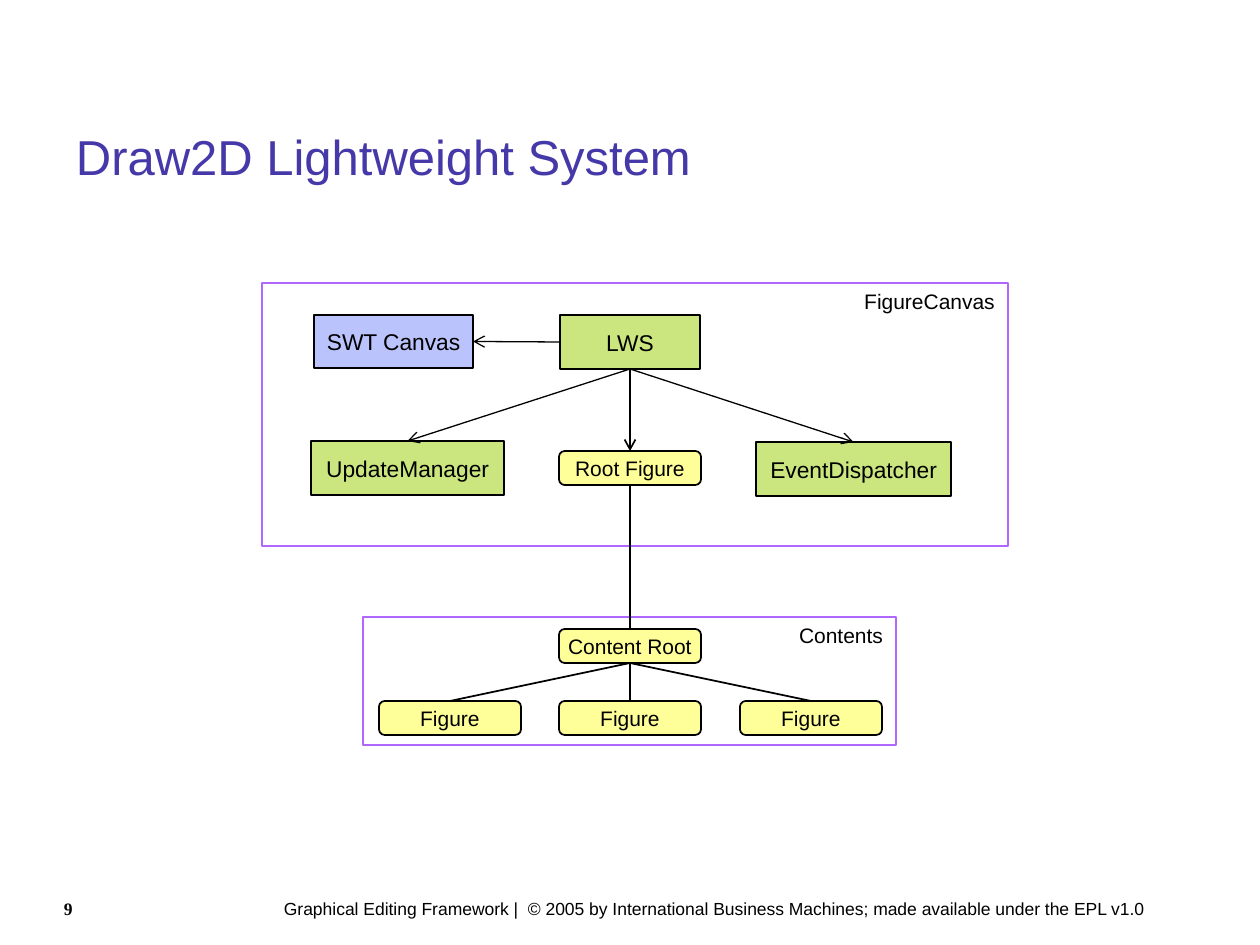
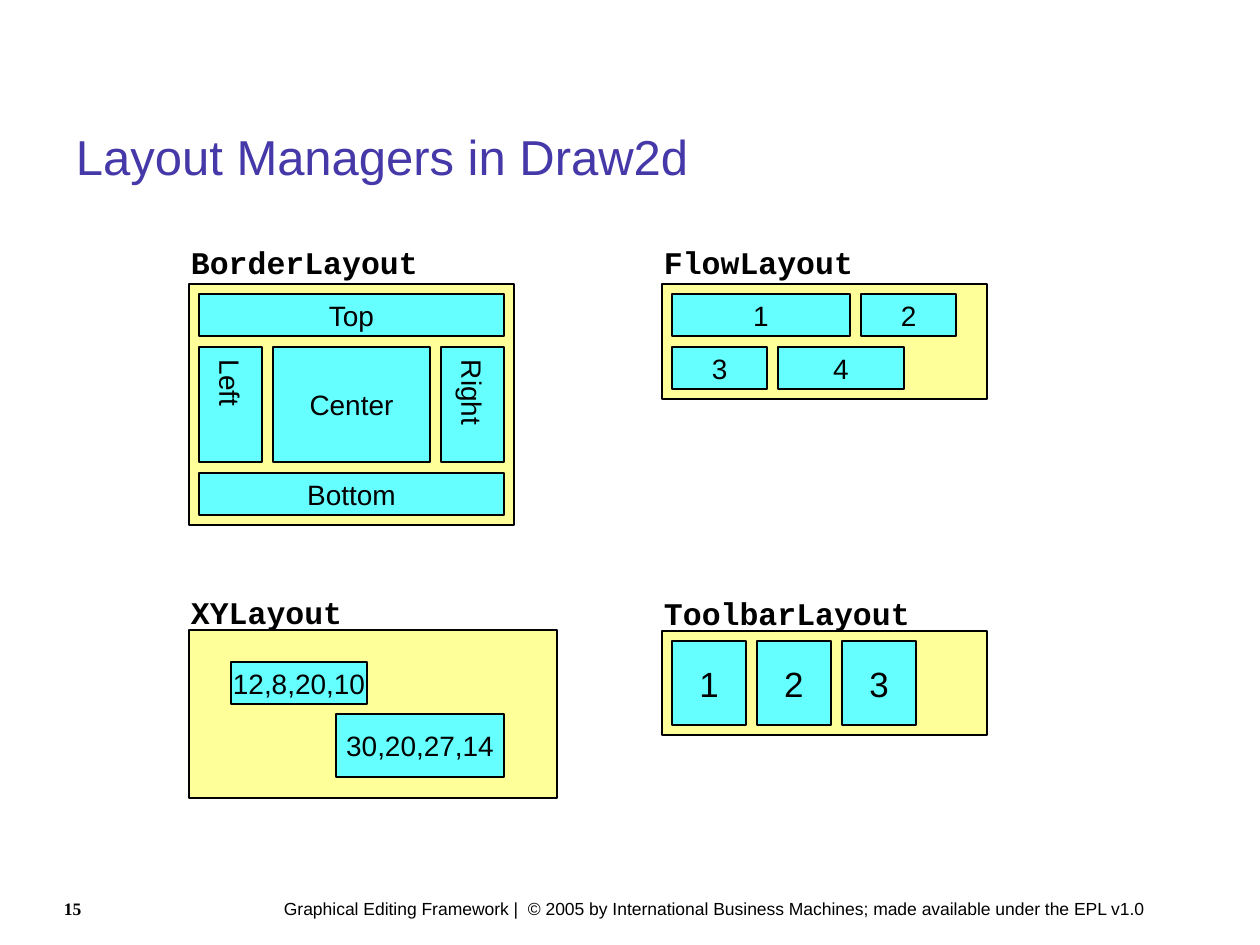
"""Build two slides on the Draw2D lightweight system and its layout managers."""
from lxml import etree
from pptx import Presentation
from pptx.dml.color import RGBColor
from pptx.enum.shapes import MSO_CONNECTOR, MSO_SHAPE
from pptx.enum.text import MSO_ANCHOR, MSO_AUTO_SIZE, PP_ALIGN
from pptx.oxml.ns import qn
from pptx.util import Emu, Pt

RECTANGLE, ROUNDED = MSO_SHAPE.RECTANGLE, MSO_SHAPE.ROUNDED_RECTANGLE
STRAIGHT = MSO_CONNECTOR.STRAIGHT
LEFT, CENTER, RIGHT = PP_ALIGN.LEFT, PP_ALIGN.CENTER, PP_ALIGN.RIGHT
TOP, MIDDLE = MSO_ANCHOR.TOP, MSO_ANCHOR.MIDDLE
NO_AUTO_SIZE = MSO_AUTO_SIZE.NONE
TOP_SIDE, LEFT_SIDE, BOTTOM_SIDE, RIGHT_SIDE = range(4)

EMU_PER_PX = 914400 / 126
SLIDE_SIZE = (1260, 945)
TITLE_ONLY = 5
TITLE_BOX = (63, 116, 1134, 79)
FOOTER_BOX = (271, 892, 905, 34)
NUMBER_BOX = (51, 892, 109, 44)
PADDING, GAP = 10, 11
LABEL_INDENT, LABEL_HEIGHT = 11, 50
LABEL_CHARACTER, LABEL_MARGINS = 19, 26

COLORS = {
    "title": "4538A8", "black": "000000", "frame": "AF67FF",
    "blue": "7889FB", "green": "99CC00", "yellow": "FFFF99", "cyan": "66FFFF",
}
FOOTER = ("Graphical Editing Framework |  © 2005 by International Business "
          "Machines; made available under the EPL v1.0")

FRAMES = [
    ("Contents", (363, 617, 533, 128)),
    ("FigureCanvas", (262, 283, 746, 263)),
]
SERVICES = {
    "SWT Canvas": ((314, 315, 159, 53), "blue"),
    "LWS": ((560, 315, 140, 54), "green"),
    "UpdateManager": ((311, 441, 193, 54), "green"),
    "EventDispatcher": ((756, 442, 195, 54), "green"),
}
FIGURES = {
    "root": ("Root Figure", (559, 451)),
    "content": ("Content Root", (559, 629)),
    "left": ("Figure", (379, 701)),
    "middle": ("Figure", (559, 701)),
    "right": ("Figure", (740, 701)),
}
FIGURE_SIZE = (142, 34)
LINKS = [
    ("LWS", LEFT_SIDE, "SWT Canvas", RIGHT_SIDE, 0.75, True),
    ("LWS", BOTTOM_SIDE, "UpdateManager", TOP_SIDE, 0.75, True),
    ("LWS", BOTTOM_SIDE, "root", TOP_SIDE, 1, True),
    ("LWS", BOTTOM_SIDE, "EventDispatcher", TOP_SIDE, 0.75, True),
    ("content", TOP_SIDE, "root", BOTTOM_SIDE, 1, False),
    ("middle", TOP_SIDE, "content", BOTTOM_SIDE, 1, False),
    ("content", BOTTOM_SIDE, "left", TOP_SIDE, 1, False),
    ("content", BOTTOM_SIDE, "right", TOP_SIDE, 1, False),
]

ROW_LAYOUTS = [
    {"name": "BorderLayout", "panel": (189, 284, 325, 241), "label_top": 237,
     "size": 16, "rows": [
         (42, [("Top", 305)]),
         (115, [("Left", 63), ("Center", 157), ("Right", 63)]),
         (42, [("Bottom", 305)])]},
    {"name": "FlowLayout", "panel": (662, 284, 325, 115), "label_top": 237,
     "size": 16, "rows": [
         (42, [("1", 178), ("2", 95)]),
         (42, [("3", 95), ("4", 126)])]},
    {"name": "ToolbarLayout", "panel": (662, 631, 325, 104), "label_top": 588,
     "size": 20, "rows": [(84, [("1", 74), ("2", 74), ("3", 74)])]},
]
XY_PANEL, XY_LABEL_TOP = (189, 630, 368, 168), 587
XY_CELLS = [
    ("12,8,20,10", (42, 32, 136, 42)),
    ("30,20,27,14", (147, 84, 168, 63)),
]
VERTICAL_CELLS = {"Left", "Right"}


def px(*lengths):
    return [Emu(round(length * EMU_PER_PX)) for length in lengths]


def rgb(name):
    return RGBColor.from_string(COLORS[name])


def write(shape, text, size=16, font="Arial", color="black", bold=False,
          align=LEFT, anchor=TOP, wrap=True, vertical=False):
    frame = shape.text_frame
    frame.auto_size = NO_AUTO_SIZE
    frame.word_wrap = wrap
    frame.vertical_anchor = anchor
    margins = px(6, 13, 6, 13) if vertical else px(13, 6, 13, 6)
    (frame.margin_left, frame.margin_top,
     frame.margin_right, frame.margin_bottom) = margins
    if vertical:
        shape.element.txBody.bodyPr.set("vert", "eaVert")
    paragraph = frame.paragraphs[0]
    paragraph.alignment = align
    run = paragraph.add_run()
    run.text = text
    run.font.name, run.font.size, run.font.bold = font, Pt(size), bold
    run.font.color.rgb = rgb(color)


def add_text(slide, box, text, **text_format):
    write(slide.shapes.add_textbox(*px(*box)), text, **text_format)


def add_box(slide, box, fill=None, line="black", width=1, kind=RECTANGLE,
            opacity=100):
    shape = slide.shapes.add_shape(kind, *px(*box))
    shape.shadow.inherit = False
    shape.line.color.rgb = rgb(line)
    shape.line.width = Pt(width)
    if fill is None:
        shape.fill.background()
    else:
        shape.fill.solid()
        shape.fill.fore_color.rgb = rgb(fill)
    if opacity < 100:
        color = shape.element.spPr.find(".//" + qn("a:srgbClr"))
        etree.SubElement(color, qn("a:alpha"), val=str(opacity * 1000))
    return shape


def add_node(slide, box, text, size, **box_format):
    shape = add_box(slide, box, **box_format)
    write(shape, text, size=size, align=CENTER, anchor=MIDDLE, wrap=False)
    return shape


def add_link(slide, start, start_side, end, end_side, width, arrow):
    connector = slide.shapes.add_connector(STRAIGHT, 0, 0, 0, 0)
    connector.begin_connect(start, start_side)
    connector.end_connect(end, end_side)
    connector.line.color.rgb = rgb("black")
    connector.line.width = Pt(width)
    properties = connector.element.spPr
    if arrow:
        etree.SubElement(properties.find(qn("a:ln")), qn("a:tailEnd"), type="arrow")
    etree.SubElement(properties, qn("a:effectLst"))


def add_slide(presentation, title, number):
    slide = presentation.slides.add_slide(presentation.slide_layouts[TITLE_ONLY])
    heading = slide.shapes.title
    heading.left, heading.top, heading.width, heading.height = px(*TITLE_BOX)
    write(heading, title, size=28, color="title", anchor=MIDDLE)
    add_text(slide, FOOTER_BOX, FOOTER, size=10)
    add_text(slide, NUMBER_BOX, number, size=10, font="Times New Roman", bold=True)
    return slide


def add_panel(slide, name, panel, label_top):
    add_box(slide, panel, fill="yellow")
    label_width = len(name) * LABEL_CHARACTER + LABEL_MARGINS
    add_text(slide, (panel[0] - LABEL_INDENT, label_top, label_width, LABEL_HEIGHT),
             name, size=18, font="Courier New", bold=True)


def add_cell(slide, box, text, size):
    shape = add_box(slide, box, fill="cyan")
    write(shape, text, size=size, align=CENTER, anchor=MIDDLE, wrap=False,
          vertical=text in VERTICAL_CELLS)


def add_row_layout(slide, name, panel, label_top, size, rows):
    add_panel(slide, name, panel, label_top)
    top = panel[1] + PADDING
    for height, cells in rows:
        left = panel[0] + PADDING
        for text, width in cells:
            add_cell(slide, (left, top, width, height), text, size)
            left += width + GAP
        top += height + GAP


def build_lightweight_system(presentation):
    slide = add_slide(presentation, "Draw2D Lightweight System", "9")
    for text, box in FRAMES:
        frame = add_box(slide, box, line="frame", width=1.5)
        write(frame, text, size=12, align=RIGHT)
    nodes = {}
    for text, (box, fill) in SERVICES.items():
        nodes[text] = add_node(slide, box, text, 13, fill=fill, opacity=50)
    for key, (text, corner) in FIGURES.items():
        nodes[key] = add_node(slide, corner + FIGURE_SIZE, text, 12,
                              fill="yellow", kind=ROUNDED)
    for start, start_side, end, end_side, width, arrow in LINKS:
        add_link(slide, nodes[start], start_side, nodes[end], end_side, width, arrow)


def build_layout_managers(presentation):
    slide = add_slide(presentation, "Layout Managers in Draw2d", "15")
    for layout in ROW_LAYOUTS:
        add_row_layout(slide, **layout)
    add_panel(slide, "XYLayout", XY_PANEL, XY_LABEL_TOP)
    for text, (left, top, width, height) in XY_CELLS:
        add_cell(slide, (XY_PANEL[0] + left, XY_PANEL[1] + top, width, height),
                 text, 16)


def main():
    presentation = Presentation()
    presentation.slide_width, presentation.slide_height = px(*SLIDE_SIZE)
    build_lightweight_system(presentation)
    build_layout_managers(presentation)
    presentation.save("out.pptx")


if __name__ == "__main__":
    main()
